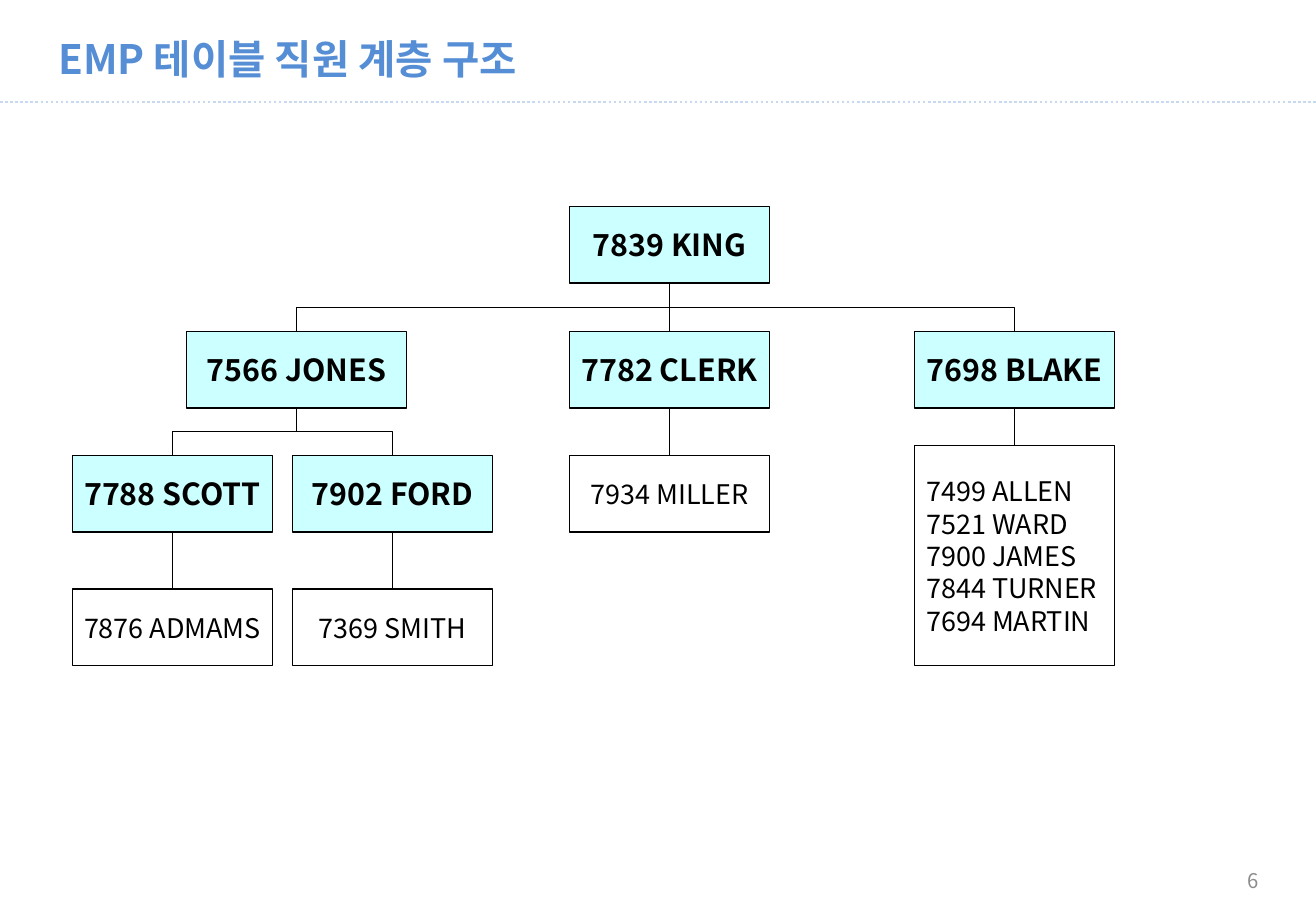
import pptx
import pptx.util
import pptx.dml.color
import pptx.enum.dml
import pptx.enum.shapes
import pptx.enum.text
import pptx.oxml
from pptx.util import Inches

RGBColor = pptx.dml.color.RGBColor
ALIGN = pptx.enum.text.PP_ALIGN
CONNECTOR = pptx.enum.shapes.MSO_CONNECTOR

BLACK = RGBColor(0x00, 0x00, 0x00)
CYAN = RGBColor(0xCC, 0xFF, 0xFF)
TITLE_BLUE = RGBColor(0x55, 0x8E, 0xD5)
RULE_BLUE = RGBColor(0xC6, 0xD9, 0xF1)
GRAY = RGBColor(0x8C, 0x8C, 0x8C)

BOX_WIDTH = 1.65
BOX_HEIGHT = 0.63
BOTTOM_SITE, TOP_SITE = 2, 0


class OrgSlide:
    font_name = "Noto Sans CJK KR"

    def __init__(self, slide):
        self.shapes = slide.shapes

    def fill_text(self, frame, lines, size, color, bold=False, align=ALIGN.LEFT):
        frame.vertical_anchor = pptx.enum.text.MSO_ANCHOR.MIDDLE
        frame.text = "\n".join(lines)
        for paragraph in frame.paragraphs:
            paragraph.alignment = align
            paragraph.font.name = self.font_name
            paragraph.font.size = pptx.util.Pt(size)
            paragraph.font.bold = bold
            paragraph.font.color.rgb = color
            if len(lines) > 1:
                paragraph.line_spacing = pptx.util.Pt(size * 1.2)

    def label(self, text, left, top, width, height, size, color, **style):
        frame = self.shapes.add_textbox(
            Inches(left), Inches(top), Inches(width), Inches(height)).text_frame
        frame.word_wrap = True
        self.fill_text(frame, [text], size, color, **style)

    def box(self, lines, center, top, width=BOX_WIDTH, height=BOX_HEIGHT, manager=False):
        box = self.shapes.add_shape(
            pptx.enum.shapes.MSO_SHAPE.RECTANGLE, Inches(center - width / 2),
            Inches(top), Inches(width), Inches(height))
        box.shadow.inherit = False
        if manager:
            box.fill.solid()
            box.fill.fore_color.rgb = CYAN
        else:
            box.fill.background()
        box.line.color.rgb = BLACK
        box.line.width = pptx.util.Pt(0.75)
        box.text_frame.word_wrap = False
        self.fill_text(box.text_frame, lines, 18 if manager else 16, BLACK, bold=manager,
                       align=ALIGN.CENTER if len(lines) == 1 else ALIGN.LEFT)
        return box

    def line(self, kind, start, end, color=BLACK, width=0.75):
        line = self.shapes.add_connector(kind, *map(Inches, start + end))
        line.line.color.rgb = color
        line.line.width = pptx.util.Pt(width)
        line._element.spPr.append(pptx.oxml.parse_xml(
            '<a:effectLst xmlns:a="http://schemas.openxmlformats.org/drawingml/2006/main"/>'))
        return line

    def report(self, manager, staff):
        shift = staff.left + staff.width // 2 - manager.left - manager.width // 2
        straight = abs(shift) < Inches(0.01)
        line = self.line(CONNECTOR.STRAIGHT if straight else CONNECTOR.ELBOW, (0, 0), (0, 0))
        line.begin_connect(manager, BOTTOM_SITE)
        line.end_connect(staff, TOP_SITE)
        if not straight:
            span, drop = line.width, line.height
            line.left += (span - drop) // 2
            line.top += (drop - span) // 2
            line.width, line.height = drop, span
            frame = line._element.spPr.xfrm
            frame.rot = 90 if shift < 0 else 270
            frame.flipH = shift > 0


def main():
    deck = pptx.Presentation()
    deck.slide_width, deck.slide_height = Inches(10.83), Inches(7.5)
    org = OrgSlide(deck.slides.add_slide(deck.slide_layouts[6]))

    rule = org.line(CONNECTOR.STRAIGHT, (0, 0.84), (10.83, 0.84), RULE_BLUE, 1.5)
    rule.line.dash_style = pptx.enum.dml.MSO_LINE.ROUND_DOT
    org.label("EMP 테이블 직원 계층 구조", 0.38, 0.21, 10.08, 0.54, 24, TITLE_BLUE, bold=True)
    org.label("6", 7.93, 7.05, 2.53, 0.4, 12, GRAY, align=ALIGN.RIGHT)

    scott_x, ford_x, jones_x, king_x, blake_x = 1.42, 3.23, 2.44, 5.51, 8.35
    king_y, manager_y, staff_y, junior_y = 1.7, 2.73, 3.75, 4.85

    king = org.box(["7839 KING"], king_x, king_y, manager=True)
    jones = org.box(["7566 JONES"], jones_x, manager_y, width=1.81, manager=True)
    clerk = org.box(["7782 CLERK"], king_x, manager_y, manager=True)
    blake = org.box(["7698 BLAKE"], blake_x, manager_y, manager=True)
    scott = org.box(["7788 SCOTT"], scott_x, staff_y, manager=True)
    ford = org.box(["7902 FORD"], ford_x, staff_y, manager=True)
    miller = org.box(["7934 MILLER"], king_x, staff_y)
    blake_team = org.box(
        ["7499 ALLEN", "7521 WARD", "7900 JAMES", "7844 TURNER", "7694 MARTIN"],
        blake_x, 3.67, height=1.81)
    adams = org.box(["7876 ADMAMS"], scott_x, junior_y)
    smith = org.box(["7369 SMITH"], ford_x, junior_y)

    for manager, team in (
        (king, (jones, clerk, blake)),
        (jones, (scott, ford)),
        (clerk, (miller,)),
        (blake, (blake_team,)),
        (scott, (adams,)),
        (ford, (smith,)),
    ):
        for staff in team:
            org.report(manager, staff)

    deck.save("out.pptx")


if __name__ == "__main__":
    main()
